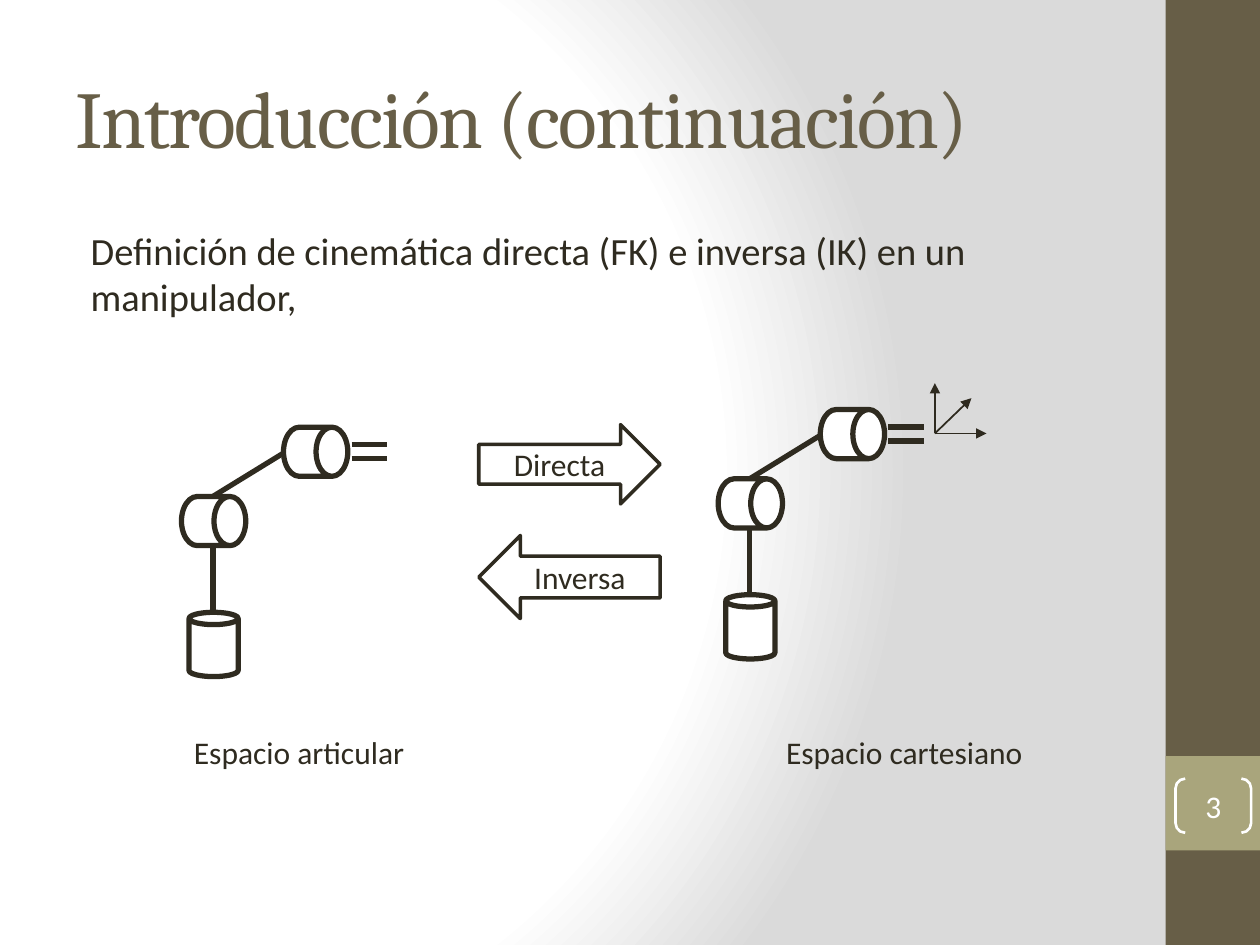
from typing import NamedTuple

import pptx
import pptx.dml.color
import pptx.enum.shapes
import pptx.enum.text
import pptx.oxml
import pptx.oxml.ns
import pptx.util

Inches, Pt = pptx.util.Inches, pptx.util.Pt
Kind = pptx.enum.shapes.MSO_SHAPE
Align = pptx.enum.text.PP_ALIGN
Anchor = pptx.enum.text.MSO_ANCHOR
qn = pptx.oxml.ns.qn
NS = pptx.oxml.ns.nsdecls("a", "p")

INK, AXIS, WHITE = "2F2B20", "2E2A1F", "FFFFFF"
BROWN, OLIVE = "675E47", "A9A57C"


class Can(NamedTuple):
    left: float
    top: float
    turn: int = 90
    adj: float = 0.645


class Line(NamedTuple):
    x1: float
    y1: float
    x2: float
    y2: float


class Item(NamedTuple):
    text: str
    left: float
    top: float
    width: float
    height: float
    kind: object = None


# Parts of the left robot; the right one is the same, shifted
LOWER = (Can(1.5, 4.86, 0, 0.25), Can(1.5, 3.88))
WRIST = Can(2.31, 3.33)
LINKS = (Line(1.69, 4.86, 1.69, 4.33), Line(1.69, 3.94, 2.26, 3.59),
         Line(2.79, 3.53, 3.07, 3.53), Line(2.79, 3.64, 3.07, 3.64))
SHIFTS = ((0, 0), (4.26, -0.14))
AXES = (Line(7.42, 3.44, 7.42, 3.04), Line(7.42, 3.44, 7.83, 3.44),
        Line(7.42, 3.44, 7.71, 3.16))
ARROWS = (Item("Directa", 3.8, 3.37, 1.44, 0.63, Kind.RIGHT_ARROW),
          Item("Inversa", 3.8, 4.25, 1.44, 0.66, Kind.LEFT_ARROW))
LABELS = (Item("Espacio articular", 1.44, 5.77, 1.89, 0.4),
          Item("Espacio cartesiano", 6.14, 5.77, 2.1, 0.4))


def rgb(code: str):
    return pptx.dml.color.RGBColor.from_string(code)


def place(shape, left: float, top: float, width: float, height: float) -> None:
    shape.left, shape.top = Inches(left), Inches(top)
    shape.width, shape.height = Inches(width), Inches(height)


def write(shape, text: str, *, size=18, font="Calibri", color=INK,
          align=Align.LEFT, anchor=Anchor.TOP, wrap=True):
    frame = shape.text_frame
    frame.word_wrap = wrap
    frame.vertical_anchor = anchor
    para = frame.paragraphs[0]
    para.alignment = align
    para.space_before = Pt(0)
    run = para.add_run()
    run.text = text
    run.font.size, run.font.name = Pt(size), font
    run.font.color.rgb = rgb(color)
    return run


def draw(slide, kind, left: float, top: float, width: float, height: float,
         fill=None, line=None, weight=1.0):
    shape = slide.shapes.add_shape(kind, Inches(left), Inches(top),
                                   Inches(width), Inches(height))
    shape.shadow.inherit = False
    if fill:
        shape.fill.solid()
        shape.fill.fore_color.rgb = rgb(fill)
    else:
        shape.fill.background()
    if line:
        shape.line.color.rgb = rgb(line)
        shape.line.width = Pt(weight)
    else:
        shape.line.fill.background()
    return shape


def draw_can(slide, can: Can, dx: float, dy: float) -> None:
    shape = draw(slide, Kind.CAN, can.left + dx, can.top + dy, 0.39, 0.51,
                 WHITE, INK, 3)
    shape.adjustments[0] = can.adj
    shape.rotation = can.turn


def draw_line(slide, line: Line, dx=0.0, dy=0.0, color=INK, weight=3.0,
              head=False) -> None:
    link = slide.shapes.add_connector(
        pptx.enum.shapes.MSO_CONNECTOR.STRAIGHT,
        Inches(line.x1 + dx), Inches(line.y1 + dy),
        Inches(line.x2 + dx), Inches(line.y2 + dy))
    link.line.color.rgb = rgb(color)
    link.line.width = Pt(weight)
    if head:
        link.line._get_or_add_ln().append(
            pptx.oxml.parse_xml(f'<a:tailEnd {NS} type="triangle"/>'))
    link._element.spPr.append(pptx.oxml.parse_xml(f"<a:effectLst {NS}/>"))


def draw_robot(slide, dx: float, dy: float) -> None:
    for can in LOWER:
        draw_can(slide, can, dx, dy)
    for link in LINKS:
        draw_line(slide, link, dx, dy)
    draw_can(slide, WRIST, dx, dy)


def paint_back(slide) -> None:
    stops = "".join(
        f'<a:gs pos="{pos}000"><a:srgbClr val="{code}"/></a:gs>'
        for pos, code in ((0, WHITE), (75, WHITE), (100, "DADADA")))
    back = pptx.oxml.parse_xml(
        f'<p:bg {NS}><p:bgPr><a:gradFill rotWithShape="1">'
        f'<a:gsLst>{stops}</a:gsLst><a:path path="circle">'
        '<a:fillToRect l="20000" t="50000" r="100000" b="50000"/></a:path>'
        '</a:gradFill><a:effectLst/></p:bgPr></p:bg>')
    slide._element.find(qn("p:cSld")).insert(0, back)


def main() -> None:
    deck = pptx.Presentation()
    deck.slide_width, deck.slide_height = Inches(10), Inches(7.5)
    slide = deck.slides.add_slide(deck.slide_layouts[1])
    paint_back(slide)

    # Title and body
    title, body = slide.placeholders
    place(title, 0.5, 0.3, 8.33, 1.25)
    run = write(title, "Introducción (continuación)", size=46, font="Cambria",
                color=BROWN, anchor=Anchor.MIDDLE)
    run._r.get_or_add_rPr().set("spc", "-100")
    place(body, 0.5, 1.75, 8.33, 0.94)
    props = body.text_frame.paragraphs[0]._p.get_or_add_pPr()
    props.set("marL", str(Inches(0.12)))
    props.set("indent", "0")
    props.append(pptx.oxml.parse_xml(f"<a:buNone {NS}/>"))
    write(body, "Definición de cinemática directa (FK) e inversa (IK) en un "
                "manipulador,", size=22)

    # Side bar and slide number
    draw(slide, Kind.RECTANGLE, 9.25, 0, 0.75, 7.5, BROWN)
    draw(slide, Kind.RECTANGLE, 9.25, 6, 0.75, 0.75, OLIVE)
    number = draw(slide, Kind.DOUBLE_BRACKET, 9.33, 6.18, 0.6, 0.43,
                  line=WHITE, weight=1.5)
    number.adjustments[0] = 0.179
    frame = number.text_frame
    frame.margin_left = frame.margin_right = 0
    frame.margin_top = frame.margin_bottom = 0
    write(number, "3", color=WHITE, align=Align.CENTER, anchor=Anchor.MIDDLE)

    # Robots and the frame of the tool
    for dx, dy in SHIFTS:
        draw_robot(slide, dx, dy)
    for axis in AXES:
        draw_line(slide, axis, color=AXIS, weight=1, head=True)

    # Arrows between the two spaces
    for item in ARROWS:
        arrow = draw(slide, item.kind, *item[1:5], WHITE, INK, 2)
        write(arrow, item.text, align=Align.CENTER, anchor=Anchor.MIDDLE)

    # Labels under the robots
    for item in LABELS:
        box = slide.shapes.add_textbox(*map(Inches, item[1:5]))
        write(box, item.text, wrap=False)
        box.text_frame.auto_size = pptx.enum.text.MSO_AUTO_SIZE.SHAPE_TO_FIT_TEXT

    deck.save("out.pptx")


if __name__ == "__main__":
    main()
